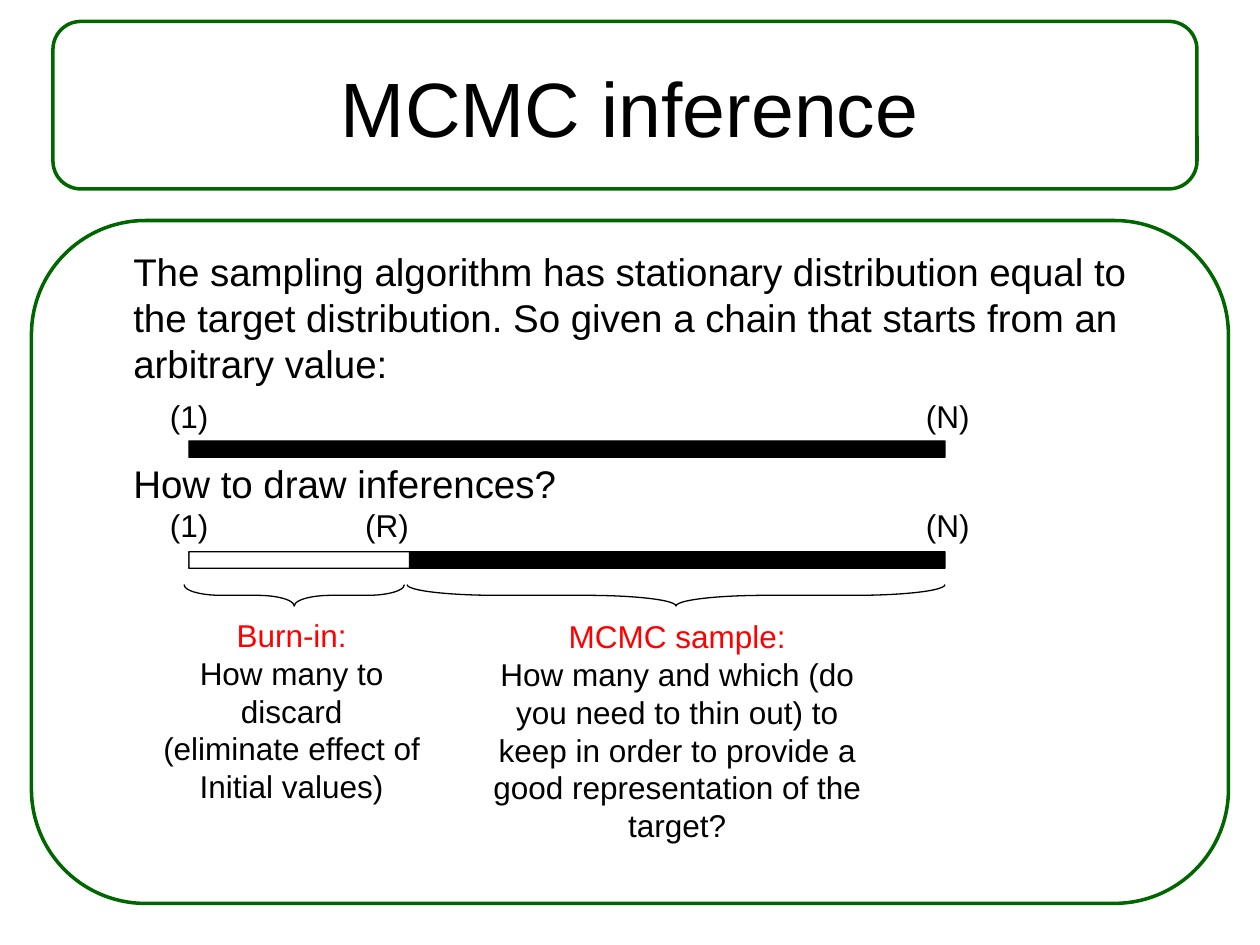
from lxml import etree
from pptx import Presentation
from pptx.dml.color import RGBColor
from pptx.enum.shapes import MSO_SHAPE
from pptx.enum.text import MSO_ANCHOR, PP_ALIGN
from pptx.oxml.ns import qn
from pptx.util import Emu, Inches, Pt

ROUNDED = MSO_SHAPE.ROUNDED_RECTANGLE
BRACE = MSO_SHAPE.RIGHT_BRACE
LEFT, CENTER = PP_ALIGN.LEFT, PP_ALIGN.CENTER
MIDDLE = MSO_ANCHOR.MIDDLE

FONT = "Arial"
BLACK, WHITE, RED, GREEN = "000000", "FFFFFF", "FF0000", "006600"
CHAIN_LEFT, CHAIN_WIDTH, BURN_IN_WIDTH = 1.5, 6, 1.75
BAR_HEIGHT, BRACE_DEPTH = 0.13, 0.17
TEXT_LEFT, TEXT_WIDTH = 0.96, 8.54
LABEL_LEFT, LABEL_WIDTH = 1.25, 6.55


def color(hex_value):
    """Turn a hex string into a colour."""
    return RGBColor.from_string(hex_value)


def box(left, top, width, height):
    """Turn four lengths in inches into slide lengths."""
    return [Inches(length) for length in (left, top, width, height)]


def add_outline(slide, preset, place, adjustment, line, weight, fill=None):
    """Add a preset shape with a line and an optional fill."""
    shape = slide.shapes.add_shape(preset, *box(*place))
    shape.shadow.inherit = False
    shape.adjustments[0] = adjustment
    shape.line.color.rgb = color(line)
    shape.line.width = Pt(weight)
    if fill:
        shape.fill.solid()
        shape.fill.fore_color.rgb = color(fill)
    else:
        shape.fill.background()
    return shape


def add_frame(slide, *place):
    """Add a green rounded frame."""
    add_outline(slide, ROUNDED, place, 0.167, GREEN, 2)


def add_bar(slide, top, width, fill):
    """Add a bar that starts where the chain starts."""
    place = CHAIN_LEFT, top, width, BAR_HEIGHT
    add_outline(slide, ROUNDED, place, 0.014, BLACK, 0.75, fill)


def add_brace(slide, left, top, length):
    """Add a brace that points down, with its curves a sixth of its length."""
    place = (left + (length - BRACE_DEPTH) / 2, top + (BRACE_DEPTH - length) / 2,
             BRACE_DEPTH, length)
    brace = add_outline(slide, BRACE, place, length / 6 / BRACE_DEPTH, BLACK, 0.75)
    brace.rotation = 90


def format_paragraph(paragraph, size, text_color, align):
    """Set the alignment and font of a paragraph."""
    paragraph.alignment = align
    for run in paragraph.runs:
        run.font.name = FONT
        run.font.size = Pt(size)
        run.font.color.rgb = color(text_color)


def add_text(slide, text, place, size, align=LEFT, heading_color=BLACK, wrap=True):
    """Add a text box whose first paragraph may have its own colour."""
    frame = slide.shapes.add_textbox(*box(*place)).text_frame
    frame.word_wrap = wrap
    frame.text = text
    for index, paragraph in enumerate(frame.paragraphs):
        format_paragraph(paragraph, size, BLACK if index else heading_color, align)
    return frame


def add_chain_labels(slide, text, top, stops):
    """Add labels over a chain, set apart by tab stops."""
    frame = add_text(slide, text, (LABEL_LEFT, top, LABEL_WIDTH, 0.4), 18, wrap=False)
    properties = frame.paragraphs[0].runs[0].font
    tabs = etree.SubElement(frame.paragraphs[0]._p.get_or_add_pPr(), qn("a:tabLst"))
    for stop in stops:
        etree.SubElement(tabs, qn("a:tab"), pos=str(Emu(Inches(stop))), algn="l")
    properties.bold = False


def add_title(slide, text):
    """Fill and place the title."""
    title = slide.shapes.title
    title.left, title.top, title.width, title.height = box(0.5, 0.17, 9, 1.35)
    title.text_frame.text = text
    title.text_frame.vertical_anchor = MIDDLE
    format_paragraph(title.text_frame.paragraphs[0], 44, BLACK, CENTER)


def main():
    """Build the slide and save it."""
    deck = Presentation()
    deck.slide_width, deck.slide_height = Inches(10), Inches(7.5)
    slide = deck.slides.add_slide(deck.slide_layouts[5])

    add_frame(slide, 0.25, 1.75, 9.5, 5.42)
    add_frame(slide, 0.42, 0.17, 9.08, 1.33)
    add_title(slide, "MCMC inference")

    add_text(slide, "The sampling algorithm has stationary distribution equal to the "
             "target distribution. So given a chain that starts from an arbitrary value:",
             (TEXT_LEFT, 1.92, TEXT_WIDTH, 1.2), 22)
    add_chain_labels(slide, "(1)\t(N)", 3.1, [6])
    add_bar(slide, 3.5, CHAIN_WIDTH, BLACK)

    add_text(slide, "How to draw inferences?", (TEXT_LEFT, 3.6, TEXT_WIDTH, 0.46), 22)
    add_chain_labels(slide, "(1)\t(R)\t(N)", 3.97, [1.55, 6])
    add_bar(slide, 4.38, CHAIN_WIDTH, BLACK)
    add_bar(slide, 4.38, BURN_IN_WIDTH, WHITE)

    add_brace(slide, 1.46, 4.64, BURN_IN_WIDTH)
    add_brace(slide, 3.23, 4.64, 4.27)
    add_text(slide, "Burn-in:\nHow many to discard\n(eliminate effect of\nInitial values)",
             (1.05, 4.84, 2.53, 1.3), 18, CENTER, RED, wrap=False)
    add_text(slide, "MCMC sample:\nHow many and which (do you need to thin out) to keep "
             "in order to provide a good representation of the target?",
             (3.75, 4.85, 3.25, 1.9), 18, CENTER, RED)

    deck.save("out.pptx")


if __name__ == "__main__":
    main()
